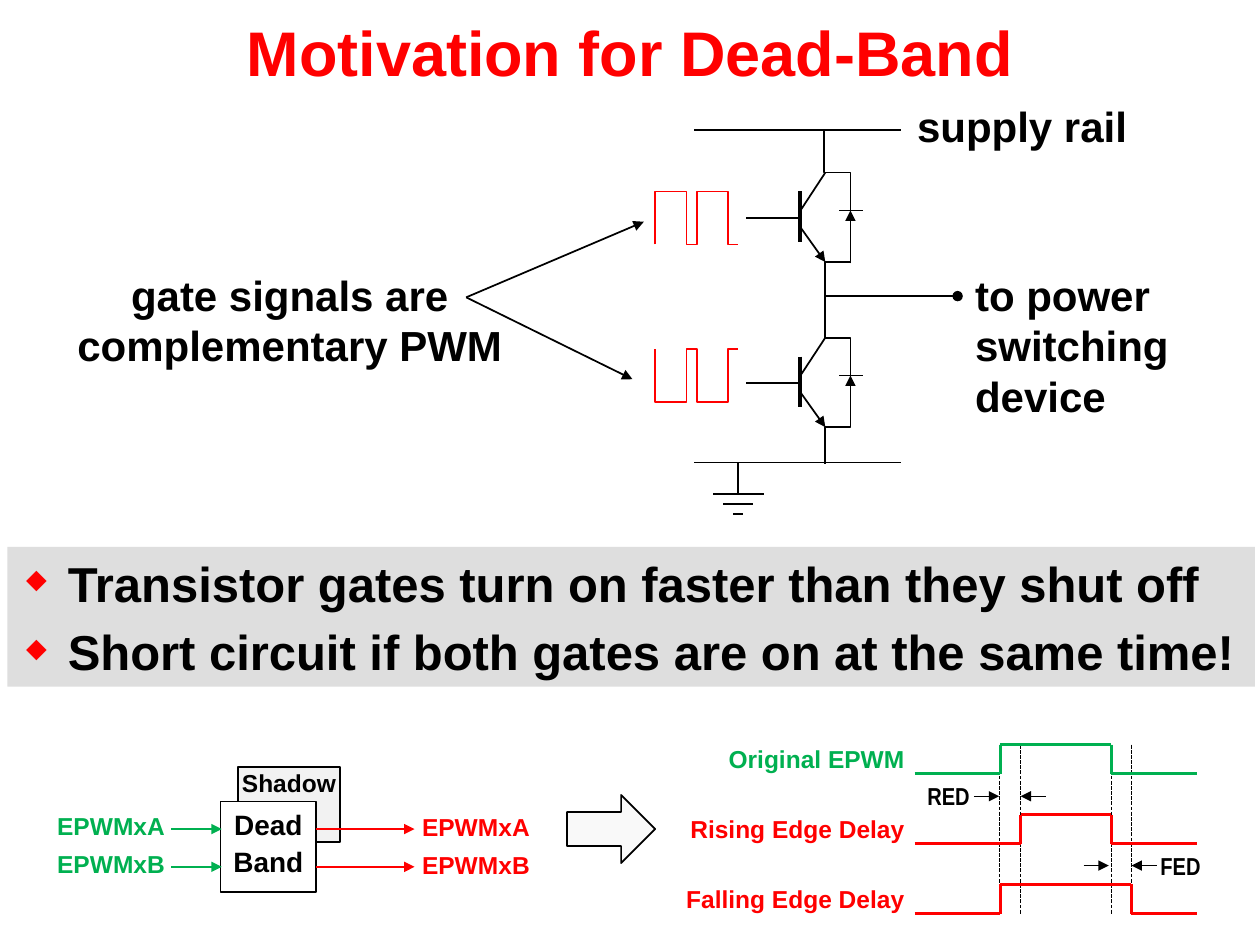
"""Builds the slide on the motivation for dead-band."""
from itertools import pairwise
from lxml.etree import SubElement
from pptx import Presentation
from pptx.dml.color import RGBColor
from pptx.enum.dml import MSO_LINE
from pptx.enum.shapes import MSO_CONNECTOR, MSO_SHAPE
from pptx.enum.text import MSO_ANCHOR, PP_ALIGN
from pptx.oxml.ns import qn
from pptx.util import Inches, Pt

BLACK = RGBColor(0, 0, 0)
WHITE = RGBColor(255, 255, 255)
RED = RGBColor(255, 0, 0)
GREEN = RGBColor(0, 176, 80)
GRAY = RGBColor(222, 222, 222)
PALE = RGBColor(242, 242, 242)
MIST = RGBColor(249, 249, 249)
LEFT, MID, RIGHT = PP_ALIGN.LEFT, PP_ALIGN.CENTER, PP_ALIGN.RIGHT

deck = Presentation()
deck.slide_width, deck.slide_height = Inches(10), Inches(7.5)
COL, ROW = deck.slide_width / 10, deck.slide_height / 7.5
slide = deck.slides.add_slide(deck.slide_layouts[6])
shapes = slide.shapes


def wire(spots, color=BLACK, width=1, head=None, tail=None, dash=None):
    spots = [(round(x * COL), round(y * ROW)) for x, y in spots]
    if len(spots) == 2:
        item = shapes.add_connector(MSO_CONNECTOR.STRAIGHT, *spots[0], *spots[1])
        SubElement(item.element.spPr, qn("a:effectLst"))
    else:
        form = shapes.build_freeform(*spots[0])
        form.add_line_segments(spots[1:], close=False)
        item = form.convert_to_shape()
        item.fill.background()
        item.shadow.inherit = False
    item.line.color.rgb = color
    item.line.width = Pt(width)
    if dash:
        item.line.dash_style = dash
    for tag, kind in (("a:headEnd", head), ("a:tailEnd", tail)):
        if kind:
            SubElement(item.line._ln, qn(tag), type=kind)


def block(at, lines=(), size=14, color=BLACK, align=LEFT, font="Arial", pad=(0, 0),
          tight=1, gap=0, anchor=MSO_ANCHOR.TOP, wrap=False, kind=None, fill=None, edge=None):
    x, y, w, h = at
    box = [round(n) for n in (x * COL, y * ROW, w * COL, h * ROW)]
    if kind is None:
        item = shapes.add_textbox(*box)
    else:
        item = shapes.add_shape(kind, *box)
        item.shadow.inherit = False
        item.fill.solid()
        item.fill.fore_color.rgb = fill
        if edge:
            item.line.color.rgb = BLACK
            item.line.width = Pt(edge)
        else:
            item.line.fill.background()
    frame = item.text_frame
    frame.word_wrap = wrap
    frame.vertical_anchor = anchor
    frame.margin_left = frame.margin_right = Inches(pad[0])
    frame.margin_top = frame.margin_bottom = Inches(pad[1])
    for i, line in enumerate(lines):
        para = frame.add_paragraph() if i else frame.paragraphs[0]
        para.alignment = align
        para.line_spacing = tight
        para.space_before = Pt(gap)
        run = para.add_run()
        run.text = line
        run.font.name, run.font.size, run.font.bold = font, Pt(size), True
        run.font.color.rgb = color
    return item


PAD = (0.1, 0.05)
block((0, 0, 10, 0.81), ["Motivation for Dead-Band"], 36, RED, MID, pad=PAD,
      anchor=MSO_ANCHOR.MIDDLE, wrap=True)
body = block((0.06, 4.34, 9.9, 1.11),
             ["Transistor gates turn on faster than they shut off",
              "Short circuit if both gates are on at the same time!"],
             28, pad=PAD, gap=5.6, wrap=True, kind=MSO_SHAPE.RECTANGLE, fill=GRAY)
for para in body.text_frame.paragraphs:
    props = para._p.get_or_add_pPr()
    props.set("marL", str(Inches(0.38)))
    props.set("indent", str(-Inches(0.33)))
    SubElement(SubElement(props, qn("a:buClr")), qn("a:srgbClr"), val=str(RED))
    SubElement(props, qn("a:buSzPct"), val="55000")
    SubElement(props, qn("a:buChar"), char="◆")

for y in (1.52, 2.83):
    wire([(6.35, y), (6.35, y + 0.4)], width=2)
    wire([(6.36, y + 0.14), (6.55, y - 0.15)])
    wire([(6.34, y + 0.21), (5.92, y + 0.21)])
    wire([(6.66, y + 0.15), (6.85, y + 0.15)])
    wire([(6.35, y + 0.28), (6.55, y + 0.56)], tail="triangle")
wire([(6.75, 2.09), (6.75, 1.8)])
wire([(6.54, 1.03), (6.54, 1.37), (6.75, 1.37), (6.75, 1.67)])
wire([(6.75, 1.67), (6.75, 2.08), (6.55, 2.08), (6.55, 2.68), (6.75, 2.68), (6.75, 2.98)],
     head="triangle")
wire([(6.75, 2.98), (6.75, 3.39), (6.55, 3.39), (6.55, 3.68)], head="triangle")
for y in (1.03, 3.67):
    wire([(7.15, y), (5.51, y)])
wire([(6.55, 2.35), (7.6, 2.35)], tail="oval")
wire([(5.86, 3.67), (5.86, 3.91)])
for i, half in enumerate((0.2, 0.12, 0.04)):
    y = 3.92 + 0.08 * i
    wire([(5.86 - half, y), (5.86 + half, y)])

for low, high in ((1.94, 1.52), (2.77, 3.19)):
    steps = [(5.2, low)]
    for x in (5.2, 5.53):
        steps += [(x, high), (x + 0.25, high), (x + 0.25, low), (x + 0.33, low)]
    wire(steps, RED)
for end in ((5.11, 1.76), (5.02, 3.01)):
    wire([(3.7, 2.36), end], tail="triangle")

block((7.64, 2.09, 1.75, 1.31), ["to power switching device"], 24, pad=PAD, wrap=True)
block((7.18, 0.75, 1.88, 0.5), ["supply rail"], 24, pad=PAD)
block((0.5, 2.09, 3.6, 0.91), ["gate signals are", "complementary PWM"], 24, align=MID, pad=PAD)

for x in (7.93, 8.1, 8.82, 8.98):
    wire([(x, 5.91), (x, 7.25)], width=0.75, dash=MSO_LINE.SQUARE_DOT)
waves = [("Original EPWM", GREEN, 1.41, 7.94, 8.82),
         ("Rising Edge Delay", RED, 1.71, 8.1, 8.82),
         ("Falling Edge Delay", RED, 1.74, 7.94, 8.98)]
for i, (name, color, wide, rise, fall) in enumerate(waves):
    top = 5.91 + 0.555 * i
    low = top + 0.23
    block((7.18 - wide, top + 0.04, wide, 0.19), [name], color=color, align=RIGHT, tight=0.8)
    steps = [(7.26, low), (rise, low), (rise, top), (fall, top), (fall, low), (9.5, low)]
    for pair in pairwise(steps):
        wire(pair, color, 1.5)
for x, y, end in ((7.73, 6.32, 8.1), (8.6, 6.87, 8.98)):
    wire([(x, y), (x + 0.2, y)], width=0.75, tail="triangle")
    wire([(end, y), (end + 0.2, y)], width=0.75, head="triangle")
for name, x, y in (("RED", 7.36, 6.24), ("FED", 9.21, 6.8)):
    block((x, y, 0.45, 0.19), [name], font="Arial Narrow", tight=0.8,
          anchor=MSO_ANCHOR.MIDDLE, wrap=True)

block((1.89, 6.09, 0.81, 0.59), kind=MSO_SHAPE.RECTANGLE, fill=PALE, edge=1)
block((1.75, 6.36, 0.76, 0.72), ["Dead", "Band"], 16, align=MID, pad=(0.1, 0.1),
      tight=0.8, gap=6, kind=MSO_SHAPE.RECTANGLE, fill=WHITE, edge=0.75)
block((1.92, 6.14, 0.75, 0.19), ["Shadow"], tight=0.8)
for i, name in enumerate(("EPWMxA", "EPWMxB")):
    y = 6.58 + 0.3 * i
    wire([(1.36, y), (1.76, y)], GREEN, 1.5, tail="triangle")
    wire([(2.51, y), (3.29, y)], RED, 1.5, tail="triangle")
    block((0.45, y - 0.1, 0.86, 0.19), [name], color=GREEN, align=RIGHT, tight=0.8)
    block((3.35, y - 0.09, 0.86, 0.19), [name], color=RED, tight=0.8)
block((4.5, 6.31, 0.7, 0.54), kind=MSO_SHAPE.RIGHT_ARROW, fill=MIST, edge=1)

deck.save("out.pptx")
